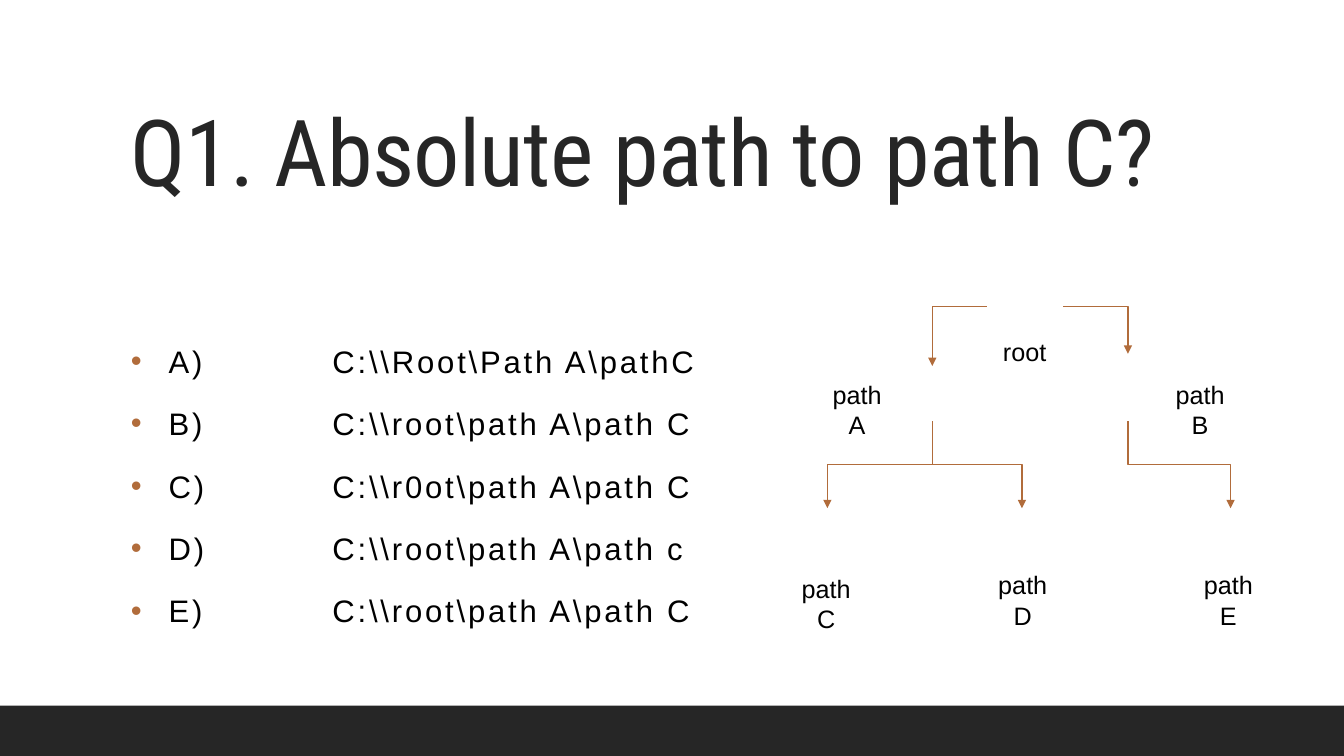
from lxml import etree
from pptx import Presentation
from pptx.dml.color import RGBColor
from pptx.enum.shapes import MSO_CONNECTOR, MSO_SHAPE
from pptx.enum.text import MSO_ANCHOR, MSO_AUTO_SIZE, PP_ALIGN
from pptx.oxml.ns import qn
from pptx.util import Pt

ELBOW = MSO_CONNECTOR.ELBOW
RECT = MSO_SHAPE.RECTANGLE
TOP, BOTTOM = MSO_ANCHOR.TOP, MSO_ANCHOR.BOTTOM
GROW = MSO_AUTO_SIZE.SHAPE_TO_FIT_TEXT
CENTER = PP_ALIGN.CENTER
COLORS = {"dark": "262626", "accent": "B16C3B", "text": "000000"}


class QuizSlide:
    """Draws the elements of a quiz slide in one style, in points."""

    def __init__(self, prs):
        self.s = prs.slides.add_slide(prs.slide_layouts[6])
        self.font = "Arial"

    def color(self, name):
        return RGBColor.from_string(COLORS[name])

    def bar(self, x, y, w, h):
        sp = self.s.shapes.add_shape(RECT, Pt(x), Pt(y), Pt(w), Pt(h))
        sp.shadow.inherit = False
        sp.fill.solid()
        sp.fill.fore_color.rgb = self.color("dark")
        sp.line.fill.background()

    def box(self, x, y, w, h, anchor=TOP):
        sp = self.s.shapes.add_textbox(Pt(x), Pt(y), Pt(w), Pt(h))
        tf = sp.text_frame
        tf.word_wrap = True
        tf.vertical_anchor = anchor
        return tf

    def run(self, p, text, size, color="text", font=None, spacing=0):
        r = p.add_run()
        r.text = text
        r.font.size = Pt(size)
        r.font.name = font or self.font
        r.font.color.rgb = self.color(color)
        if spacing:
            r.font._element.set("spc", str(int(spacing * 100)))

    def title(self, text, x, y, w, h):
        p = self.box(x, y, w, h, BOTTOM).paragraphs[0]
        p.line_spacing = 0.9
        self.run(p, text, 66, "dark", "Roboto Condensed", -0.5)

    def bullet(self, p):
        pPr = p._p.get_or_add_pPr()
        pPr.set("marL", str(Pt(27)))
        pPr.set("indent", str(Pt(-27)))
        clr = etree.SubElement(pPr, qn("a:buClr"))
        etree.SubElement(clr, qn("a:srgbClr"), val=COLORS["accent"])
        etree.SubElement(pPr, qn("a:buFont"), typeface=self.font)
        etree.SubElement(pPr, qn("a:buChar"), char="•")
        tabs = etree.SubElement(pPr, qn("a:tabLst"))
        for stop in (72, 144):
            etree.SubElement(tabs, qn("a:tab"), pos=str(Pt(stop)), algn="l")

    def answers(self, items, x, y, w, h):
        tf = self.box(x, y, w, h)
        tf.margin_top = Pt(7)
        for i, (letter, answer) in enumerate(items):
            p = tf.add_paragraph() if i else tf.paragraphs[0]
            self.bullet(p)
            p.line_spacing = 1.1
            p.space_before = Pt(12 if i else 0)
            p.space_after = Pt(3.3)
            self.run(p, f"{letter})\t\t{answer}", 22.2, spacing=2)

    def node(self, text, x, y):
        tf = self.box(x, y, 58.5, 19.5)
        tf.auto_size = GROW
        p = tf.paragraphs[0]
        p.alignment = CENTER
        self.run(p, text, 18)

    def arrow(self, x1, y1, x2, y2):
        c = self.s.shapes.add_connector(ELBOW, Pt(x1), Pt(y1), Pt(x2), Pt(y2))
        c.line.color.rgb = self.color("accent")
        c.line.width = Pt(1)
        etree.SubElement(c.line._get_or_add_ln(), qn("a:tailEnd"), type="triangle")
        etree.SubElement(c._element.spPr, qn("a:effectLst"))
        return c

    def corner_arrow(self, x1, y1, x2, y2):
        c = self.arrow(x1, y1, x2, y2)
        c._element.spPr.find(qn("a:prstGeom")).set("prst", "bentConnector2")

    def step_arrow(self, x1, y1, x2, y2):
        run, drop = abs(x2 - x1), y2 - y1
        x, y = (x1 + x2 - drop) / 2, (y1 + y2 - run) / 2
        c = self.arrow(x, y, x + drop, y + run)
        xfrm = c._element.spPr.find(qn("a:xfrm"))
        xfrm.set("rot", str((270 if x2 > x1 else 90) * 60000))
        if x2 > x1:
            xfrm.set("flipH", "1")


def main():
    prs = Presentation()
    prs.slide_width, prs.slide_height = Pt(960), Pt(540)
    slide = QuizSlide(prs)
    slide.bar(0, 504, 960, 36)
    slide.title("Q1. Absolute path to path C?", 86.4, 59.8, 792, 91.4)
    slide.answers([
        ("A", r"C:\\Root\Path A\pathC"),
        ("B", r"C:\\root\path A\path C"),
        ("C", r"C:\\r0ot\path A\path C"),
        ("D", r"C:\\root\path A\path c"),
        ("E", r"C:\\root\path A\path C"),
    ], 86.4, 234.7, 792, 221)

    left, right = 666, 805.7
    slide.corner_arrow(705, 219, left, 261.4)
    slide.corner_arrow(759.6, 219, right, 252.7)
    for parent, child in ((left, 591), (left, 730), (right, 879)):
        slide.step_arrow(parent, 301, child, 363)

    for text, x, y in (
        ("root", 702.7, 236.9),
        ("path A", 583, 267.3),
        ("path B", 828, 267.3),
        ("path C", 560.9, 406),
        ("path D", 701.3, 403.4),
        ("path E", 848.2, 403.4),
    ):
        slide.node(text, x, y)
    prs.save("out.pptx")


if __name__ == "__main__":
    main()
